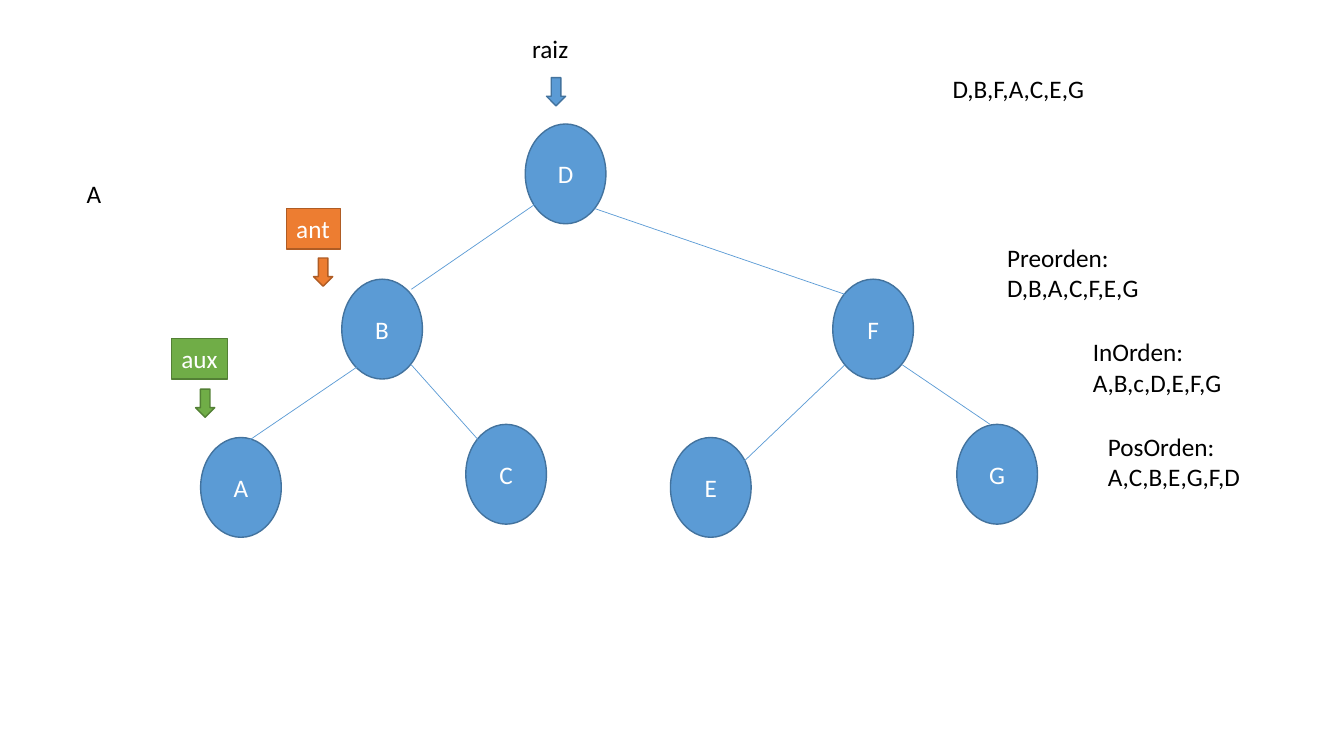
from pptx import Presentation
from pptx.dml.color import RGBColor
from pptx.enum.shapes import MSO_CONNECTOR, MSO_SHAPE
from pptx.enum.text import MSO_ANCHOR, MSO_AUTO_SIZE, PP_ALIGN
from pptx.oxml.ns import qn
from pptx.util import Inches, Pt
from lxml.etree import SubElement

BLUE, NAVY = RGBColor(0x5B, 0x9B, 0xD5), RGBColor(0x43, 0x73, 0x9E)
GREEN, MOSS = RGBColor(0x70, 0xAD, 0x47), RGBColor(0x53, 0x80, 0x35)
ORANGE, RUST = RGBColor(0xED, 0x7D, 0x31), RGBColor(0xAF, 0x5C, 0x24)
BLACK, WHITE = RGBColor(0, 0, 0), RGBColor(255, 255, 255)

# Tree nodes: letter -> left, top
NODES = {
    "D": (5.21, 1.23),
    "B": (3.39, 2.77),
    "A": (1.99, 4.34),
    "C": (4.62, 4.21),
    "F": (8.26, 2.77),
    "E": (6.65, 4.34),
    "G": (9.49, 4.21),
}
NODE_W, NODE_H = 0.8, 0.99

# Branches: start x, y, end x, y
EDGES = [
    (5.33, 2.01, 4.08, 2.87),
    (5.9, 2.07, 8.38, 2.92),
    (3.66, 3.56, 2.41, 4.41),
    (4.08, 3.62, 4.74, 4.36),
    (8.38, 3.62, 7.25, 4.7),
    (8.95, 3.62, 9.82, 4.21),
]

# Pointer arrows: left, top, fill, line
ARROWS = [
    (5.42, 0.77, BLUE, NAVY),
    (1.94, 3.86, GREEN, MOSS),
    (3.11, 2.56, ORANGE, RUST),
]

# Labels: lines, left, top, width, fill, line
LABELS = [
    (["A"], 0.76, 1.72, 0.35, None, None),
    (["raiz"], 5.18, 0.28, 0.56, None, None),
    (["aux"], 1.7, 3.36, 0.56, GREEN, MOSS),
    (["ant"], 2.84, 2.07, 0.54, ORANGE, RUST),
    (["D,B,F,A,C,E,G"], 9.35, 0.68, 1.52, None, None),
    (["Preorden:", "D,B,A,C,F,E,G"], 9.89, 2.35, 1.52, None, None),
    (["InOrden:", "A,B,c,D,E,F,G"], 10.74, 3.29, 1.49, None, None),
    (["PosOrden:", "A,C,B,E,G,F,D"], 10.89, 4.23, 1.52, None, None),
]

deck = Presentation()
deck.slide_width, deck.slide_height = Inches(13.33), Inches(7.5)
slide = deck.slides.add_slide(deck.slide_layouts[6])


def paint(shape, fill, line):
    shape.fill.solid()
    shape.fill.fore_color.rgb = fill
    shape.line.color.rgb = line
    shape.line.width = Pt(1)


def add_shape(kind, x, y, w, h, fill, line):
    shape = slide.shapes.add_shape(kind, Inches(x), Inches(y), Inches(w), Inches(h))
    shape.shadow.inherit = False
    paint(shape, fill, line)
    return shape


def write(frame, lines, color, align):
    frame.text = "\n".join(lines)
    for para in frame.paragraphs:
        para.alignment = align
        para.font.name = "Calibri"
        para.font.size = Pt(18)
        para.font.color.rgb = color


# Nodes
for name, (x, y) in NODES.items():
    node = add_shape(MSO_SHAPE.OVAL, x, y, NODE_W, NODE_H, BLUE, NAVY)
    node.text_frame.vertical_anchor = MSO_ANCHOR.MIDDLE
    write(node.text_frame, [name], WHITE, PP_ALIGN.CENTER)

# Branches
for edge in EDGES:
    link = slide.shapes.add_connector(MSO_CONNECTOR.STRAIGHT, *map(Inches, edge))
    link.line.color.rgb = BLUE
    link.line.width = Pt(0.5)
    SubElement(link._element.spPr, qn("a:effectLst"))

# Pointer arrows
for x, y, fill, line in ARROWS:
    add_shape(MSO_SHAPE.DOWN_ARROW, x, y, 0.19, 0.28, fill, line)

# Labels and traversals
for lines, x, y, w, fill, line in LABELS:
    h = 0.1 + 0.3 * len(lines)
    box = slide.shapes.add_textbox(Inches(x), Inches(y), Inches(w), Inches(h))
    frame = box.text_frame
    frame.word_wrap = False
    frame.auto_size = MSO_AUTO_SIZE.SHAPE_TO_FIT_TEXT
    write(frame, lines, WHITE if fill else BLACK, PP_ALIGN.LEFT)
    if fill:
        paint(box, fill, line)

deck.save("out.pptx")
